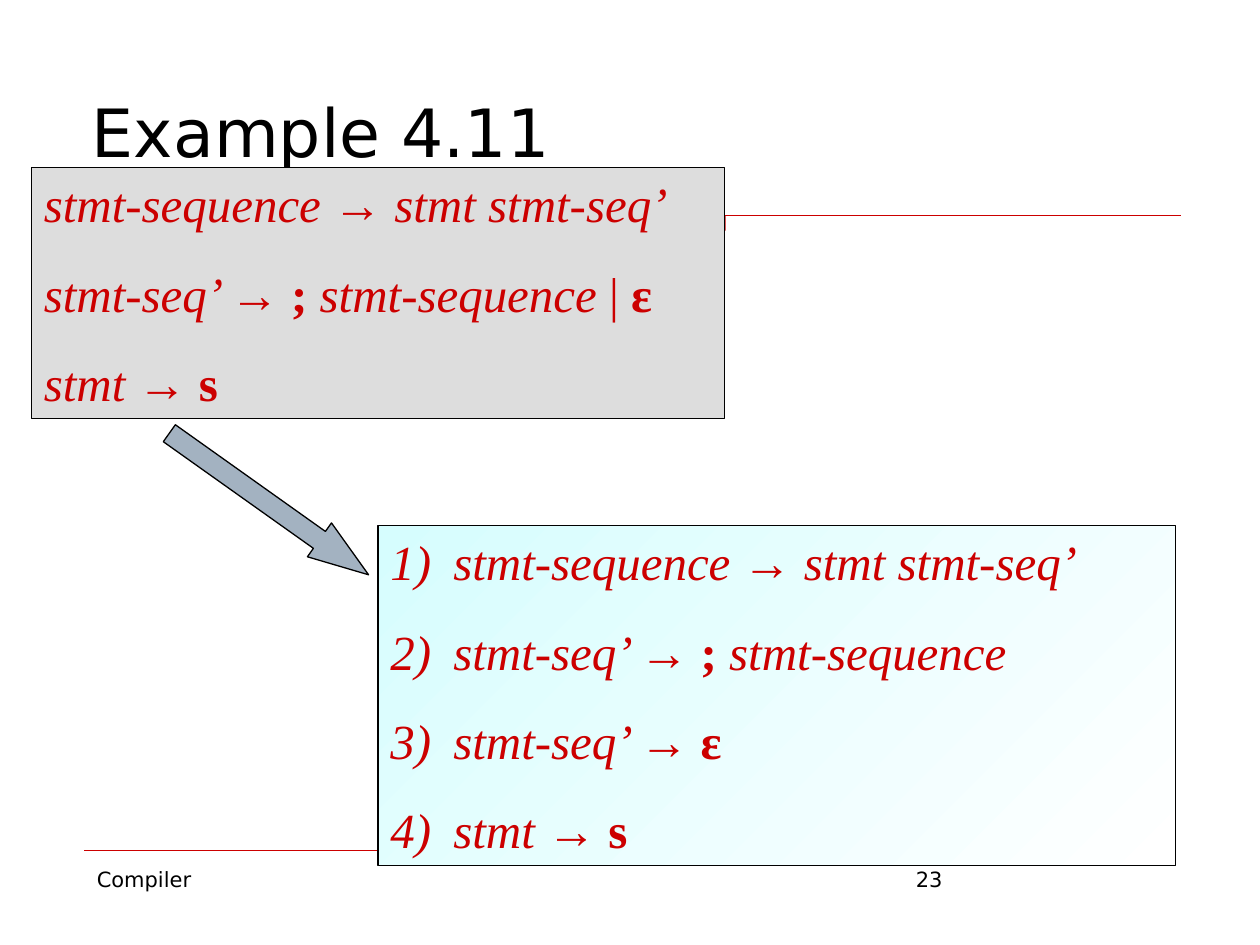
from lxml import etree
from pptx import Presentation
from pptx.dml.color import RGBColor
from pptx.enum.shapes import MSO_CONNECTOR, MSO_SHAPE
from pptx.enum.text import MSO_ANCHOR, MSO_AUTO_SIZE, PP_ALIGN
from pptx.oxml.ns import qn
from pptx.util import Inches, Pt

RECTANGLE = MSO_SHAPE.RECTANGLE
DOWN_ARROW = MSO_SHAPE.DOWN_ARROW
STRAIGHT = MSO_CONNECTOR.STRAIGHT
LEFT = PP_ALIGN.LEFT
TOP, BOTTOM = MSO_ANCHOR.TOP, MSO_ANCHOR.BOTTOM
FIXED_SIZE, GROW = MSO_AUTO_SIZE.NONE, MSO_AUTO_SIZE.SHAPE_TO_FIT_TEXT

RED = RGBColor(0xCC, 0x00, 0x00)
BLACK = RGBColor(0x00, 0x00, 0x00)
GREY = RGBColor(0xDD, 0xDD, 0xDD)
STEEL = RGBColor(0xA3, 0xB2, 0xC1)
CYAN = RGBColor(0xD6, 0xFD, 0xFE)
WHITE = RGBColor(0xFF, 0xFF, 0xFF)

SANS = "DejaVu Sans"
SERIF = "Times New Roman"

# Each rule is a list of (text, style): i = italic, b = bold, "" = plain.
SEQUENCE = [("stmt-sequence → stmt stmt-seq’", "i")]
REST = [("stmt-seq’ → ", "i")]
SEMICOLON = [("; ", "b"), ("stmt-sequence", "i")]
EPSILON = [("ε", "b")]
STATEMENT = [("stmt →", "i"), (" s", "b")]

GRAMMAR = [SEQUENCE, REST + SEMICOLON + [(" | ", "")] + EPSILON, STATEMENT]
NUMBERED_RULES = [SEQUENCE, REST + SEMICOLON, REST + EPSILON, STATEMENT]


def add_span(para, text, *, size, font, color=BLACK, bold=False, italic=False):
    span = para.add_run()
    span.text = text
    span.font.size = Pt(size)
    span.font.name = font
    span.font.color.rgb = color
    span.font.bold = bold
    span.font.italic = italic


def add_line(page, left, right, y, width):
    line = page.shapes.add_connector(
        STRAIGHT, Inches(left), Inches(y), Inches(right), Inches(y))
    line.line.color.rgb = RED
    line.line.width = Pt(width)
    etree.SubElement(line._element.spPr, qn("a:effectLst"))


def add_block(page, kind, left, top, width, height, fill=None, line=BLACK):
    block = page.shapes.add_shape(
        kind, Inches(left), Inches(top), Inches(width), Inches(height))
    block.shadow.inherit = False
    if fill is not None:
        block.fill.solid()
        block.fill.fore_color.rgb = fill
    block.line.color.rgb = line
    block.line.width = Pt(0.75)
    return block


def add_footer(page, left, text):
    box = page.shapes.add_textbox(
        Inches(left), Inches(6.83), Inches(2.17), Inches(0.52))
    box.text_frame.word_wrap = True
    add_span(box.text_frame.paragraphs[0], text, size=12, font=SANS)


def set_title(page, text):
    title = page.shapes.title
    title.left, title.top = Inches(0.63), Inches(0.08)
    title.width, title.height = Inches(8.75), Inches(1.33)
    frame = title.text_frame
    frame.auto_size = FIXED_SIZE
    frame.vertical_anchor = BOTTOM
    para = frame.paragraphs[0]
    para.alignment = LEFT
    add_span(para, text, size=38, font=SANS)


def number_paragraph(para):
    """Give the paragraph a red automatic number with a hanging indent."""
    properties = para._p.get_or_add_pPr()
    properties.set("marL", str(Inches(0.5)))
    properties.set("indent", str(-Inches(0.5)))
    color = etree.SubElement(properties, qn("a:buClr"))
    etree.SubElement(color, qn("a:srgbClr"), val=str(RED))
    etree.SubElement(properties, qn("a:buAutoNum"), type="arabicParenR")


def write_rules(box, rules, numbered=False):
    frame = box.text_frame
    frame.word_wrap = True
    frame.auto_size = GROW
    frame.vertical_anchor = TOP
    for index, rule in enumerate(rules):
        para = frame.add_paragraph() if index else frame.paragraphs[0]
        if numbered:
            number_paragraph(para)
        para.alignment = LEFT
        para.space_before = Pt(17.5 if index else 0)
        for text, style in rule:
            add_span(para, text, size=28, font=SERIF, color=RED,
                     bold=style == "b", italic=style == "i")


def fill_diagonally(box, start, end):
    box.fill.gradient()
    box.fill.gradient_angle = 315
    for stop, color in zip(box.fill.gradient_stops, (start, end)):
        stop.color.rgb = color


def main():
    deck = Presentation()
    deck.slide_width, deck.slide_height = Inches(10), Inches(7.5)
    page = deck.slides.add_slide(deck.slide_layouts[5])

    title_bar = add_block(page, RECTANGLE, 0.67, 1.71, 5.09, 0.12, RED)
    title_bar.line.fill.background()
    add_line(page, 0.67, 9.37, 1.71, 0.75)
    add_line(page, 0.67, 9.33, 6.75, 0.25)
    add_footer(page, 0.67, "Compiler")
    add_footer(page, 7.17, "23")
    set_title(page, "Example 4.11")

    grammar = add_block(page, RECTANGLE, 0.25, 1.33, 5.5, 1.99, GREY)
    write_rules(grammar, GRAMMAR)

    numbered = add_block(page, RECTANGLE, 3, 4.17, 6.33, 2.7)
    fill_diagonally(numbered, CYAN, WHITE)
    write_rules(numbered, NUMBERED_RULES, numbered=True)

    arrow = add_block(page, DOWN_ARROW, 1.97, 3.03, 0.33, 1.94, STEEL)
    arrow.adjustments[0] = 0.5
    arrow.adjustments[1] = 1.45
    arrow.rotation = 305.4

    deck.save("out.pptx")


if __name__ == "__main__":
    main()
